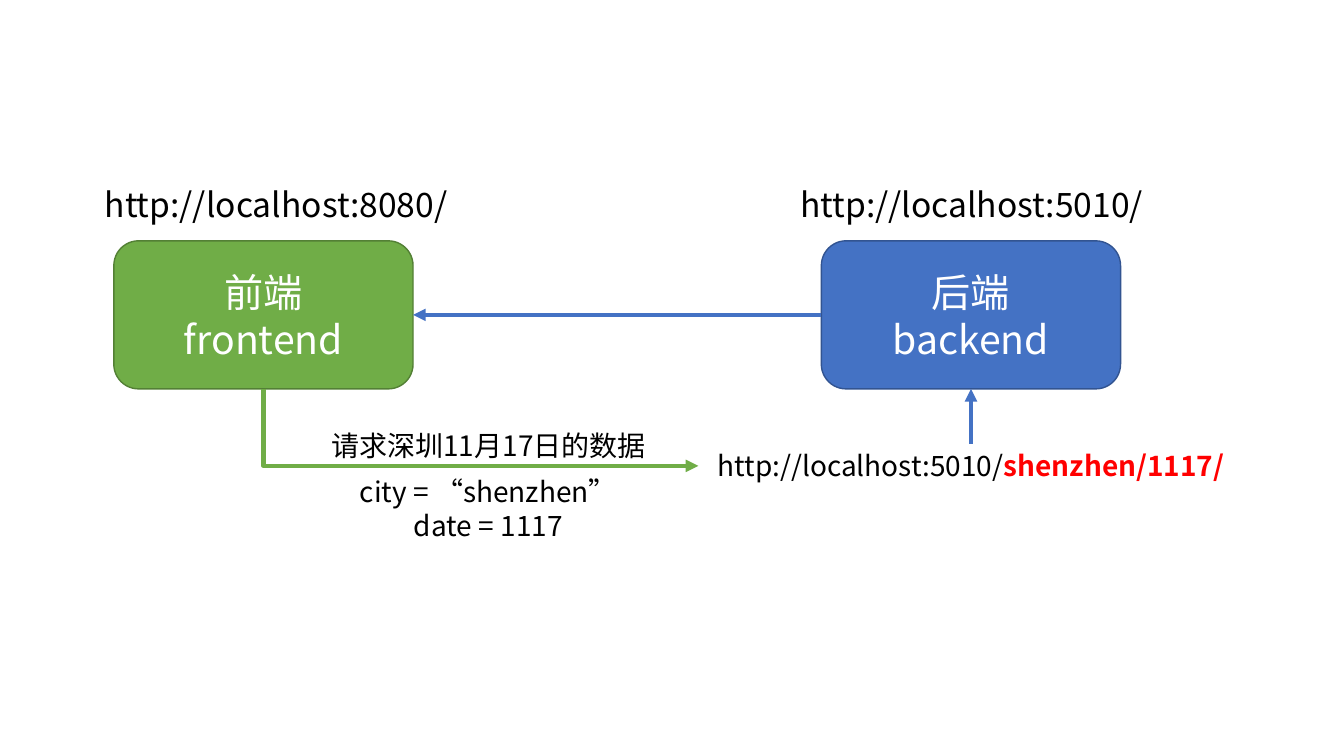
from lxml.etree import SubElement
from pptx import Presentation
from pptx.dml.color import RGBColor
from pptx.enum.lang import MSO_LANGUAGE_ID
from pptx.enum.shapes import MSO_CONNECTOR, MSO_SHAPE
from pptx.enum.text import MSO_ANCHOR, MSO_AUTO_SIZE, PP_ALIGN
from pptx.oxml.ns import qn
from pptx.util import Cm, Pt

FONT = "Noto Sans CJK SC"
GREEN, BLUE = "70AD47", "4472C4"
TOP, LEFT, BOTTOM, RIGHT = range(4)


def colour(value):
    """Turn a hex string into a colour."""
    return RGBColor.from_string(value)


def add_span(para, text, size=20, color="000000", bold=False):
    """Append formatted text to a paragraph."""
    span = para.add_run()
    span.text = text
    font = span.font
    font.name, font.size, font.bold = FONT, Pt(size), bold
    font.color.rgb = colour(color)
    font.language_id = MSO_LANGUAGE_ID.SIMPLIFIED_CHINESE
    east_asian = SubElement(font._element, qn("a:ea"))
    east_asian.set("typeface", FONT)


def add_lines(frame, lines, **style):
    """Write centred paragraphs into a text frame."""
    frame.word_wrap = True
    for index, line in enumerate(lines):
        para = frame.add_paragraph() if index else frame.paragraphs[0]
        para.alignment = PP_ALIGN.CENTER
        add_span(para, line, **style)


def add_label(page, left, top, width, height, *lines, **style):
    """Add a centred text box that grows with its text."""
    box = page.shapes.add_textbox(Cm(left), Cm(top), Cm(width), Cm(height))
    add_lines(box.text_frame, lines, **style)
    box.text_frame.auto_size = MSO_AUTO_SIZE.SHAPE_TO_FIT_TEXT
    return box


def add_server(page, left, fill, border, *lines):
    """Add a rounded box for one side of the application."""
    box = page.shapes.add_shape(
        MSO_SHAPE.ROUNDED_RECTANGLE, Cm(left), Cm(6.07), Cm(7.54), Cm(3.73))
    box.shadow.inherit = False
    box.fill.solid()
    box.fill.fore_color.rgb = colour(fill)
    box.line.color.rgb = colour(border)
    box.line.width = Pt(1)
    box.text_frame.vertical_anchor = MSO_ANCHOR.MIDDLE
    add_lines(box.text_frame, lines, size=28, color="FFFFFF")
    return box


def add_arrow(page, source, source_side, target, target_side, color):
    """Join two shapes with a straight arrow."""
    arrow = page.shapes.add_connector(MSO_CONNECTOR.STRAIGHT, 0, 0, 0, 0)
    arrow.begin_connect(source, source_side)
    arrow.end_connect(target, target_side)
    arrow.line.color.rgb = colour(color)
    arrow.line.width = Pt(3)
    head = SubElement(arrow.line._get_or_add_ln(), qn("a:tailEnd"))
    head.set("type", "triangle")
    SubElement(arrow._element.spPr, qn("a:effectLst"))
    return arrow


def bend_down_then_right(arrow):
    """Give an arrow one corner, below its start."""
    center_x = arrow.left + arrow.width // 2
    center_y = arrow.top + arrow.height // 2
    arrow.width, arrow.height = arrow.height, arrow.width
    arrow.left = center_x - arrow.width // 2
    arrow.top = center_y - arrow.height // 2
    properties = arrow._element.spPr
    properties.find(qn("a:prstGeom")).set("prst", "bentConnector2")
    frame = properties.find(qn("a:xfrm"))
    frame.set("rot", "16200000")
    frame.set("flipH", "1")


def main():
    """Build the request diagram and save it."""
    deck = Presentation()
    deck.slide_width, deck.slide_height = Cm(33.87), Cm(19.05)
    page = deck.slides.add_slide(deck.slide_layouts[6])

    frontend = add_server(page, 2.87, GREEN, "538035", "前端", "frontend")
    backend = add_server(page, 20.7, BLUE, "325491", "后端", "backend")
    for left, port in ((0.81, 8080), (18.34, 5010)):
        add_label(page, left, 4.5, 12.29, 1.32,
                  f"http://localhost:{port}/", size=24)

    address = add_label(page, 17.6, 11.18, 13.74, 1.12,
                        "http://localhost:5010/")
    add_span(address.text_frame.paragraphs[0], "shenzhen/1117/",
             color="FF0000", bold=True)

    add_arrow(page, address, TOP, backend, BOTTOM, BLUE)
    add_arrow(page, backend, LEFT, frontend, RIGHT, BLUE)
    request = add_arrow(page, frontend, BOTTOM, address, LEFT, GREEN)
    bend_down_then_right(request)

    add_label(page, 5.59, 10.67, 13.44, 1.12, "请求深圳11月17日的数据")
    add_label(page, 5.59, 11.84, 13.44, 1.96,
              "city = “shenzhen”", "date = 1117")
    deck.save("out.pptx")


main()
